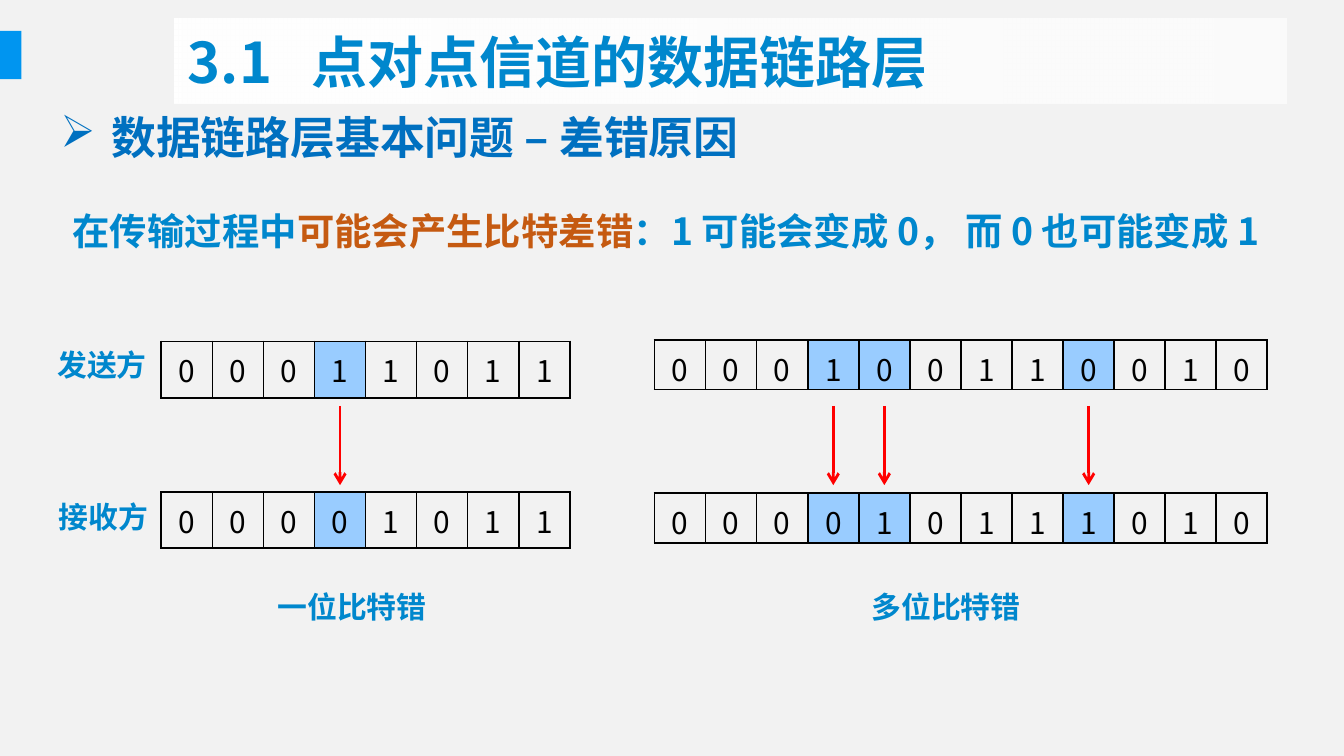
"""Build the slide on bit errors in the data link layer."""
from lxml.etree import SubElement
from pptx import Presentation
from pptx.dml.color import RGBColor
from pptx.enum.shapes import MSO_CONNECTOR as CONNECTOR, MSO_SHAPE as SHAPE
from pptx.enum.text import MSO_ANCHOR as ANCHOR, MSO_AUTO_SIZE as AUTO_SIZE, PP_ALIGN as ALIGN
from pptx.oxml import parse_xml
from pptx.oxml.ns import nsdecls, qn
from pptx.util import Inches, Pt

CJK = "Noto Sans CJK SC"
BLUE = "0087CD"
CELL = 0.38

rgb = RGBColor.from_string


def write(frame, runs, size, align, bold=True, font=CJK):
    paragraph = frame.paragraphs[0]
    paragraph.alignment = align
    for text, color in runs:
        run = paragraph.add_run()
        run.text = text
        run.font.size = Pt(size)
        run.font.bold = bold
        run.font.name = font
        run.font.color.rgb = rgb(color)
        SubElement(run.font._element, qn("a:ea")).set("typeface", CJK)
    return paragraph


def add_text(left, top, width, height, runs, size, align, wrap=True, font=CJK):
    frame = slide.shapes.add_textbox(
        Inches(left), Inches(top), Inches(width), Inches(height)).text_frame
    frame.word_wrap = wrap
    frame.auto_size = AUTO_SIZE.SHAPE_TO_FIT_TEXT
    return write(frame, runs, size, align, font=font)


prs = Presentation()
prs.slide_width, prs.slide_height = Inches(10), Inches(10 * 9 / 16)
slide = prs.slides.add_slide(prs.slide_layouts[6])
slide.background.fill.solid()
slide.background.fill.fore_color.rgb = rgb("F2F2F2")

accent = slide.shapes.add_shape(
    SHAPE.RECTANGLE, Inches(-0.01), Inches(0.23), Inches(0.17), Inches(0.36))
accent.shadow.inherit = False
accent.fill.solid()
accent.fill.fore_color.rgb = rgb("0095F0")
accent.line.fill.background()

title = slide.shapes.add_shape(
    SHAPE.RECTANGLE, Inches(1.3), Inches(0.14), Inches(8.27), Inches(0.63))
title.shadow.inherit = False
title.line.fill.background()
title.fill.gradient()
title.fill.gradient_angle = 0
for stop in title.fill.gradient_stops:
    stop.color.rgb = rgb("FFFFFF")
SubElement(stop._gs.find(qn("a:srgbClr")), qn("a:alpha")).set("val", "67000")
title.text_frame.vertical_anchor = ANCHOR.MIDDLE
heading = write(title.text_frame, [("3.1\t点对点信道的数据链路层", BLUE)], 30, ALIGN.LEFT)
heading._p.get_or_add_pPr().append(parse_xml(
    f'<a:tabLst {nsdecls("a")}><a:tab pos="{Inches(0.92)}" algn="l"/></a:tabLst>'))

topic = add_text(0.35, 0.77, 9.21, 0.5, [("数据链路层基本问题 – 差错原因", "0070C0")],
                 24, ALIGN.LEFT, font="Calibri")
topic_properties = topic._p.get_or_add_pPr()
topic_properties.set("marL", str(Inches(0.38)))
topic_properties.set("indent", str(-Inches(0.38)))
SubElement(topic_properties, qn("a:buChar")).set("char", "➢")

add_text(0.35, 1.5, 9.21, 0.44,
         [("在传输过程中", BLUE), ("可能会产生比特差错", "C55A11"),
          ("：1 可能会变成 0， 而 0 也可能变成 1", BLUE)],
         20, ALIGN.CENTER)

for left, top, label in [(0.31, 2.53, "发送方"), (0.32, 3.66, "接收方"),
                         (1.96, 4.33, "一位比特错"), (6.38, 4.33, "多位比特错")]:
    align, width = (ALIGN.RIGHT, 0.88) if len(label) == 3 else (ALIGN.CENTER, 1.32)
    add_text(left, top, width, 0.37, [(label, BLUE)], 16, align, wrap=False)

examples = [
    (1.2, 0.42, 0.05, (2.54, "00011011"), (3.66, "00001011")),
    (4.87, 0.37, 0, (2.53, "000100110010"), (3.67, "000010111010")),
]
for left, height, bottom_margin, sent, received in examples:
    errors = [i for i, (a, b) in enumerate(zip(sent[1], received[1])) if a != b]
    for top, bits in (sent, received):
        table = slide.shapes.add_table(
            1, len(bits), Inches(left), Inches(top),
            Inches(CELL * len(bits)), Inches(height)).table
        table.first_row = table.horz_banding = False
        for i, bit in enumerate(bits):
            table.columns[i].width = Inches(CELL)
            cell = table.cell(0, i)
            cell.margin_left = cell.margin_right = cell.margin_top = Inches(0.05)
            cell.margin_bottom = Inches(bottom_margin)
            cell.vertical_anchor = ANCHOR.MIDDLE
            write(cell.text_frame, [(bit, "000000")], 16, ALIGN.CENTER, bold=False)
            properties = cell._tc.get_or_add_tcPr()
            for side in ("lnL", "lnR", "lnT", "lnB"):
                properties.append(parse_xml(
                    f'<a:{side} {nsdecls("a")} w="{Pt(1)}"><a:solidFill>'
                    f'<a:srgbClr val="000000"/></a:solidFill></a:{side}>'))
            if i in errors:
                cell.fill.solid()
                cell.fill.fore_color.rgb = rgb("99CCFF")
            else:
                cell.fill.background()
    for i in errors:
        x = Inches(left + CELL * (i + 0.5))
        arrow = slide.shapes.add_connector(
            CONNECTOR.STRAIGHT, x, Inches(3.02), x, Inches(3.61))
        arrow.line.color.rgb = rgb("FF0000")
        arrow.line.width = Pt(1.5)
        SubElement(arrow.line._get_or_add_ln(), qn("a:tailEnd")).set("type", "arrow")
        SubElement(arrow._element.spPr, qn("a:effectLst"))

prs.save("out.pptx")
